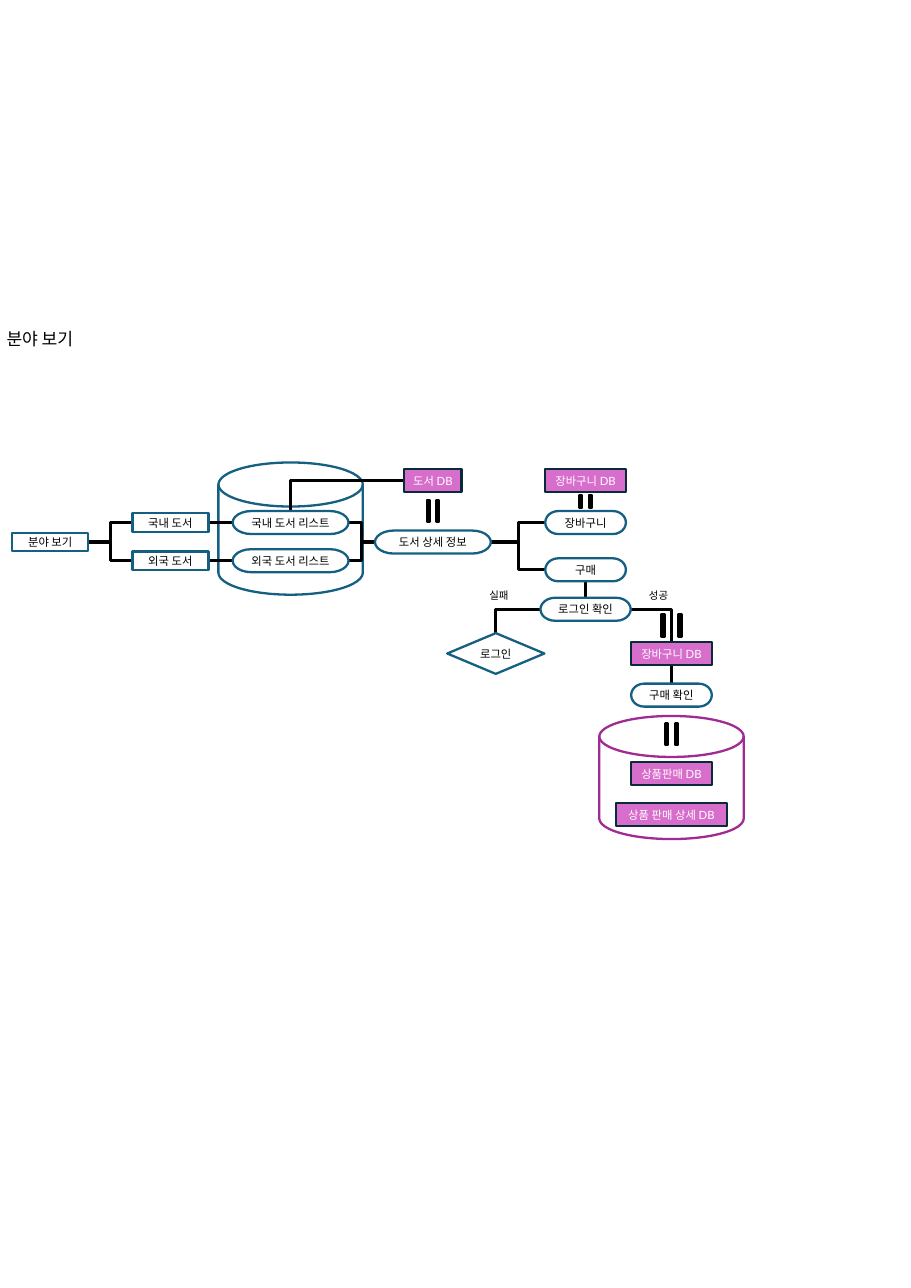
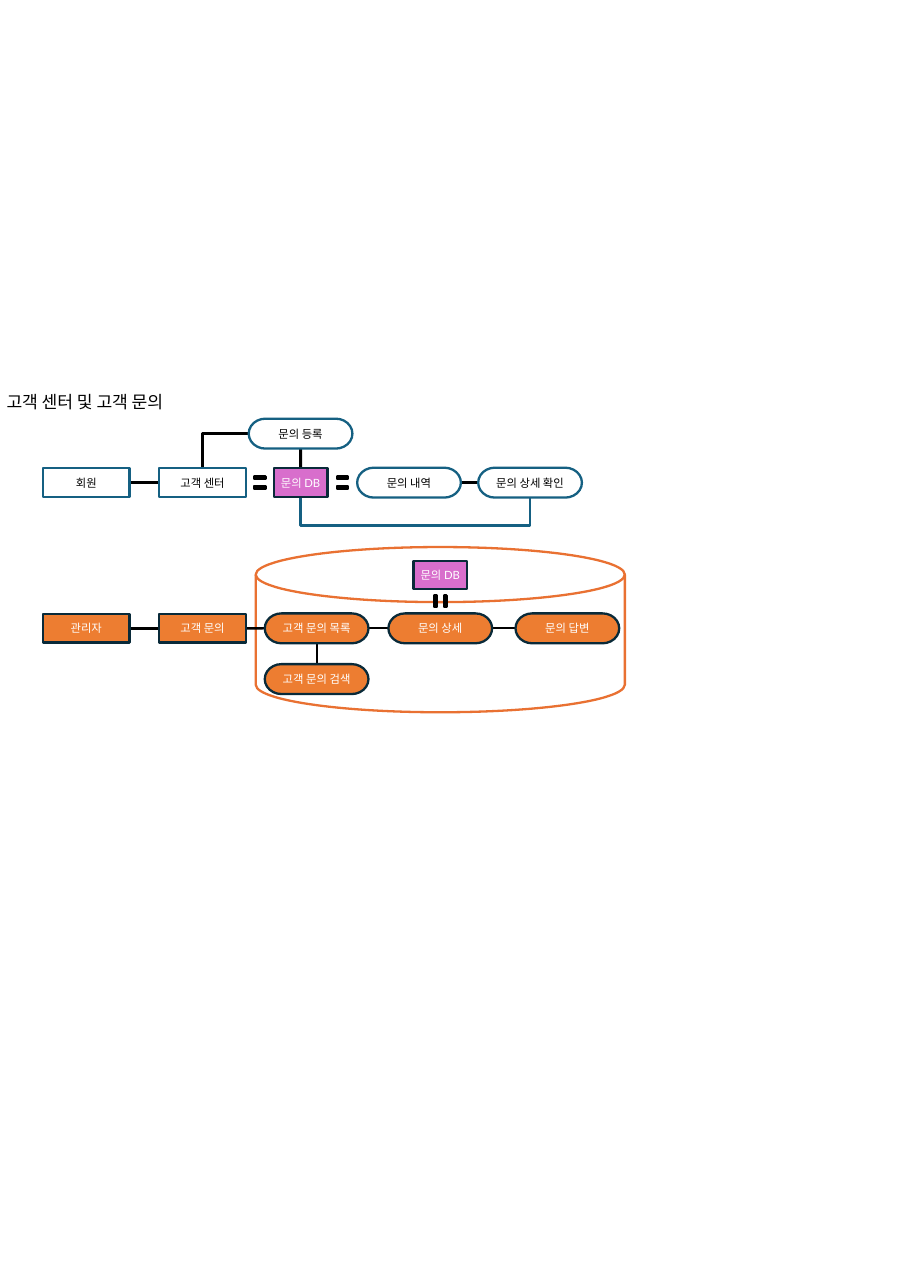
from lxml import etree
from pptx import Presentation
from pptx.dml.color import RGBColor
from pptx.enum.shapes import MSO_CONNECTOR, MSO_SHAPE
from pptx.enum.text import MSO_ANCHOR, MSO_AUTO_SIZE, PP_ALIGN
from pptx.oxml.ns import qn
from pptx.util import Cm, Pt

RECT = MSO_SHAPE.RECTANGLE
PILL = MSO_SHAPE.FLOWCHART_TERMINATOR
RHOMB = MSO_SHAPE.FLOWCHART_DECISION
DISK = MSO_SHAPE.FLOWCHART_MAGNETIC_DISK
EQUAL = MSO_SHAPE.MATH_EQUAL
LINE = MSO_CONNECTOR.STRAIGHT
ELBOW = MSO_CONNECTOR.ELBOW
LEFT, MID = PP_ALIGN.LEFT, PP_ALIGN.CENTER
TOP, CENTER = MSO_ANCHOR.TOP, MSO_ANCHOR.MIDDLE
FIXED = MSO_AUTO_SIZE.NONE

LATIN, KOREAN = "Lato", "Noto Sans CJK KR"
BLACK, WHITE, BLUE, NAVY = "000000", "FFFFFF", "156082", "092A39"
PINK, ORANGE, PLUM, RUST = "D86ECC", "ED7D31", "A02B93", "E97132"
SIDES = "TLBR"

STYLES = {
    "page": (RECT, WHITE, BLUE, BLACK, LATIN),
    "step": (PILL, WHITE, BLUE, BLACK, KOREAN),
    "test": (RHOMB, WHITE, BLUE, BLACK, LATIN),
    "data": (RECT, PINK, NAVY, WHITE, LATIN),
    "admin": (RECT, ORANGE, NAVY, WHITE, LATIN),
    "task": (PILL, ORANGE, NAVY, WHITE, KOREAN),
}
LINKS = {
    "line": (LINE, BLACK, 2),
    "thin": (LINE, BLACK, 1.5),
    "step": (ELBOW, BLACK, 2),
    "corner": (ELBOW, BLACK, 2),
    "loop": (ELBOW, BLUE, 1.5),
}


def draw(shapes, kind, x, y, w, h, fill, edge):
    shape = shapes.add_shape(kind, Cm(x - w / 2), Cm(y - h / 2), Cm(w), Cm(h))
    shape.shadow.inherit = False
    shape.fill.solid()
    shape.fill.fore_color.rgb = RGBColor.from_string(fill)
    shape.line.color.rgb = RGBColor.from_string(edge)
    shape.line.width = Pt(1.5)
    return shape


def write(shape, text, size, ink, font, align, anchor):
    frame = shape.text_frame
    frame.word_wrap = True
    frame.auto_size = FIXED
    frame.vertical_anchor = anchor
    frame.margin_left = frame.margin_right = Cm(0.15)
    frame.margin_top = frame.margin_bottom = Cm(0.08)
    para = frame.paragraphs[0]
    para.alignment = align
    run = para.add_run()
    run.text = text
    run.font.size = Pt(size)
    run.font.name = font
    run.font.color.rgb = RGBColor.from_string(ink)


SLIDES = [
    {
        "title": ("분야 보기", 7.49),
        "cols": (1.16, 3.93, 6.7, 9.98, 11.43, 13.5, 15.48),
        "rows": (11.08, 12.05, 12.5, 12.93, 13.14, 14.05, 15.07, 16.03, 17.84, 18.79),
        "sizes": {"page": (1.75, 0.43), "step": (1.86, 0.53),
                  "data": (1.86, 0.53), "test": (2.24, 0.94)},
        "widths": {"homes": 2.67, "abroads": 2.67, "book": 2.67,
                   "check": 2.08, "bookdb": 1.32, "itemdb": 2.57},
        "disks": [("g", 17.93, 3.33, 2.84, PLUM), ("c", 12.19, 3.33, 3.05, BLUE)],
        "nodes": [
            ("check", "step", "로그인 확인", "fF"),
            ("login", "test", "로그인", "eG"),
            ("field", "page", "분야 보기", "aC"),
            ("home", "page", "국내 도서", "bB"),
            ("abroad", "page", "외국 도서", "bD"),
            ("homes", "step", "국내 도서 리스트", "cB"),
            ("abroads", "step", "외국 도서 리스트", "cD"),
            ("bookdb", "data", "도서 DB", "dA"),
            ("book", "step", "도서 상세 정보", "dC"),
            ("cart", "step", "장바구니", "fB"),
            ("buy", "step", "구매", "fE"),
            ("cartdb", "data", "장바구니 DB", "fA"),
            ("orderdb", "data", "장바구니 DB", "gG"),
            ("saledb", "data", "상품판매 DB", "gI"),
            ("itemdb", "data", "상품 판매 상세 DB", "gJ"),
            ("done", "step", "구매 확인", "gH"),
        ],
        "links": [
            "corner check R done T",
            "step field R home L",
            "step field R abroad L",
            "line home R homes L",
            "line abroad R abroads L",
            "step homes R book L",
            "step abroads R book L",
            "corner bookdb L homes T",
            "step book R buy L",
            "step book R cart L",
            "line buy B check T",
            "corner check L login T",
        ],
        "equals": [("bookdb", "book", 0.69, "down"), ("check", "orderdb", 0.69, "bold"),
                   ("done", "saledb", 0.69, "down"), ("cartdb", "cart", 0.41, "down")],
        "notes": [("성공", 14.81), ("실패", 11.13)],
    },
    {
        "title": ("고객 센터 및 고객 문의", 8.94),
        "cols": (1.99, 4.67, 6.93, 7.3, 9.43, 10.15, 12.22, 13.08),
        "rows": (10, 11.13, 13.26, 14.49, 15.66),
        "sizes": {"page": (2, 0.66), "admin": (2, 0.66), "data": (1.24, 0.66),
                  "step": (2.39, 0.69), "task": (2.39, 0.69)},
        "widths": {},
        "disks": [("f", 14.52, 8.51, 3.81, RUST)],
        "nodes": [
            ("admin", "admin", "관리자", "aD"),
            ("member", "page", "회원", "aB"),
            ("log", "step", "문의 내역", "eB"),
            ("post", "step", "문의 등록", "cA"),
            ("askdb", "data", "문의 DB", "cB"),
            ("center", "page", "고객 센터", "bB"),
            ("detail", "task", "문의 상세", "fD"),
            ("ask", "admin", "고객 문의", "bD"),
            ("list", "task", "고객 문의 목록", "dD"),
            ("view", "step", "문의 상세 확인", "gB"),
            ("admindb", "data", "문의 DB", "fC"),
            ("reply", "task", "문의 답변", "hD"),
            ("search", "task", "고객 문의 검색", "dE"),
        ],
        "links": [
            "thin admin R ask L",
            "thin ask R list L",
            "thin list R detail L",
            "thin detail R reply L",
            "thin list B search T",
            "line member R center L",
            "corner post L center T",
            "line post B askdb T",
            "line log R view L",
            "loop askdb B view B",
        ],
        "equals": [("center", "askdb", 0.36, "across"), ("askdb", "log", 0.36, "across"),
                   ("admindb", "detail", 0.36, "down")],
        "notes": [],
    },
]

deck = Presentation()
deck.slide_width, deck.slide_height = Cm(21), Cm(29.7)

for plan in SLIDES:
    slide = deck.slides.add_slide(deck.slide_layouts[5])
    shapes = slide.shapes
    cols = dict(zip("abcdefgh", plan["cols"]))
    rows = dict(zip("ABCDEFGHIJ", plan["rows"]))

    text, y = plan["title"]
    title = shapes.title
    title.left, title.top, title.width, title.height = Cm(0), Cm(y), Cm(4.72), Cm(0.64)
    write(title, text, 11.2, BLACK, LATIN, LEFT, TOP)

    for col, y, w, h, edge in plan["disks"]:
        disk = draw(shapes, DISK, cols[col], y, w, h, WHITE, edge)

    nodes = {}
    for name, style, text, (col, row) in plan["nodes"]:
        kind, fill, edge, ink, font = STYLES[style]
        w, h = plan["sizes"][style]
        w = plan["widths"].get(name, w)
        node = draw(shapes, kind, cols[col], rows[row], w, h, fill, edge)
        write(node, text, 7.4, ink, font, MID, CENTER)
        nodes[name] = node

    for route in plan["links"]:
        style, start, leave, end, enter = route.split()
        kind, ink, width = LINKS[style]
        link = shapes.add_connector(kind, 0, 0, 0, 0)
        link.begin_connect(nodes[start], SIDES.index(leave))
        link.end_connect(nodes[end], SIDES.index(enter))
        link.line.color.rgb = RGBColor.from_string(ink)
        link.line.width = Pt(width)
        props = link._element.spPr
        etree.SubElement(props, qn("a:effectLst"))
        form = props.find(qn("a:prstGeom"))
        if style == "corner":
            form.set("prst", "bentConnector2")
        if style == "loop":
            span, drop = link.width, link.height
            shift = (span - drop) // 2
            link.left, link.top = link.left + shift, link.top - shift
            link.width, link.height = drop, span
            frame = props.find(qn("a:xfrm"))
            frame.set("rot", "16200000")
            frame.set("flipH", "1")
            bend = etree.SubElement(form.find(qn("a:avLst")), qn("a:gd"))
            bend.set("name", "adj1")
            bend.set("fmla", f"val {round(Cm(0.66) / max(drop, 1) * 100000)}")
        disk._element.addnext(link._element)

    for start, end, w, way in plan["equals"]:
        one, two = nodes[start], nodes[end]
        x, y = two.left + two.width / 2, two.top + two.height / 2
        if way == "across":
            x = (one.left + one.width + two.left) / 2
        else:
            reach = one.height / 2 if way == "bold" else one.height
            y = (one.top + reach + two.top) / 2
        equal = draw(shapes, EQUAL, x / Cm(1), y / Cm(1), w, 0.71, BLACK, BLACK)
        equal.rotation = 180 if way == "across" else 90
        bar, gap = (0.14, 0.41) if way == "bold" else (0.09, 0.22)
        equal.adjustments[0], equal.adjustments[1] = bar, gap

    for text, x in plan["notes"]:
        note = shapes.add_textbox(Cm(x), Cm(13.51), Cm(1.35), Cm(0.46))
        write(note, text, 6.8, BLACK, LATIN, LEFT, TOP)

deck.save("out.pptx")
